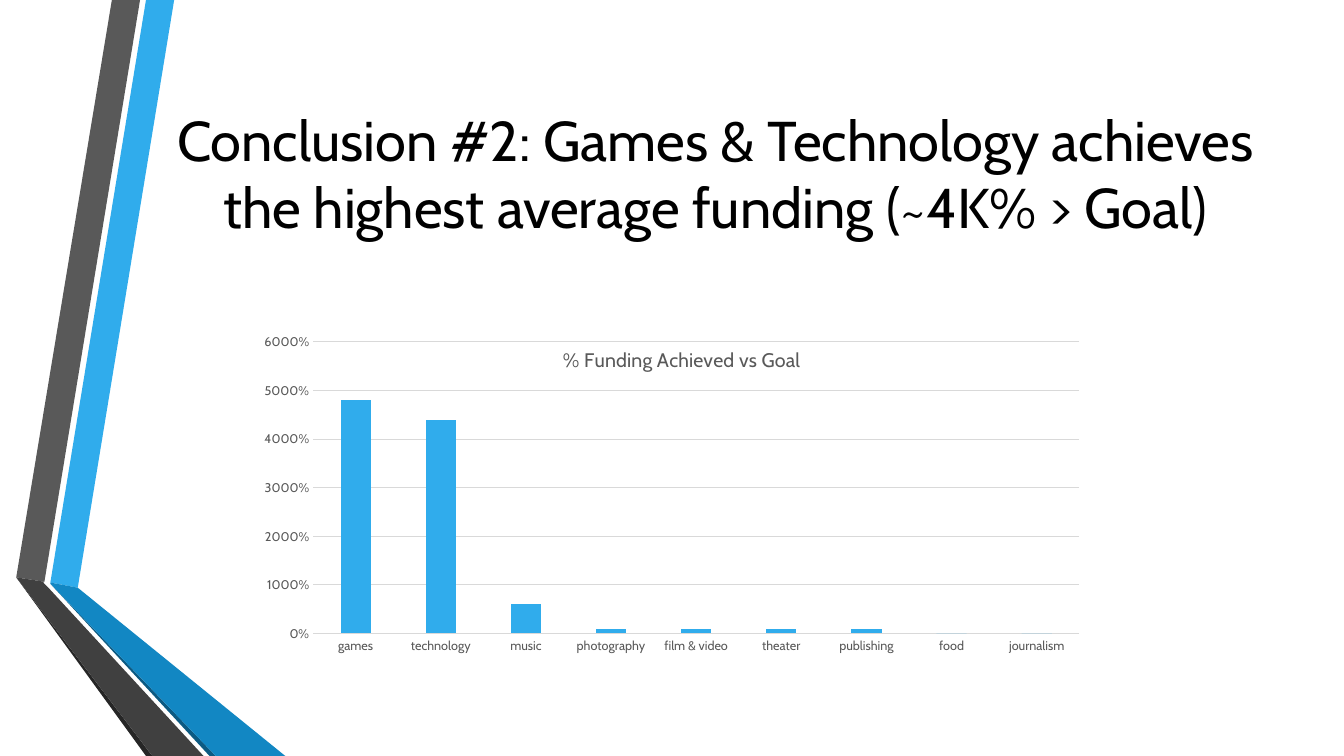
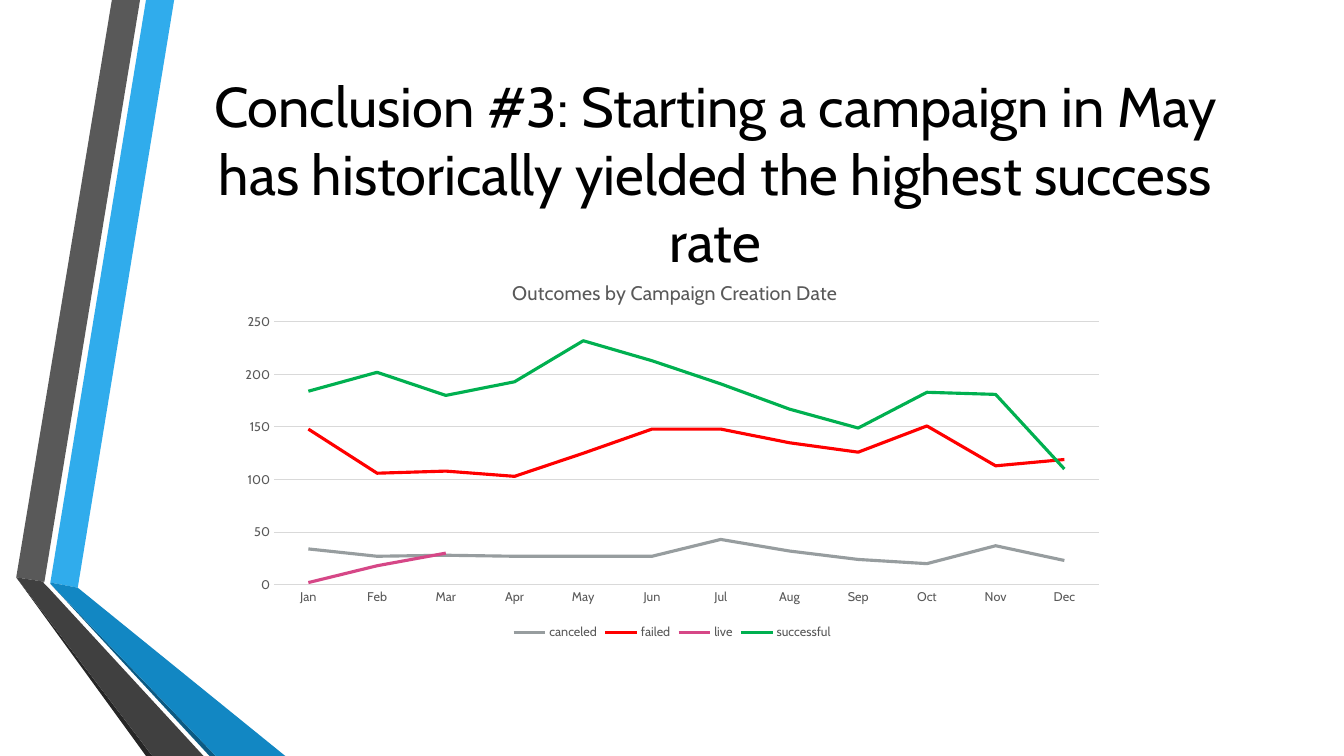
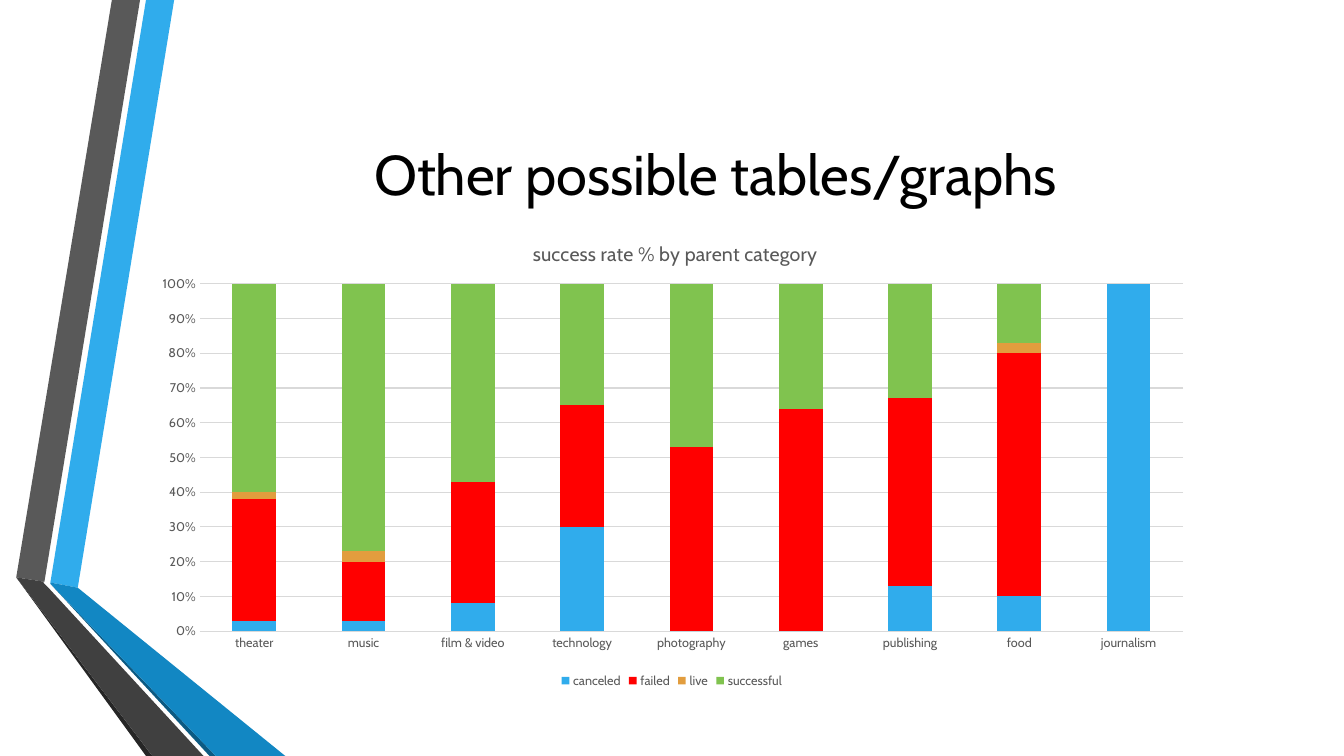
from lxml import etree
from pptx import Presentation
from pptx.chart.data import CategoryChartData
from pptx.dml.color import RGBColor
from pptx.enum.chart import XL_CHART_TYPE, XL_LEGEND_POSITION, XL_MARKER_STYLE, XL_TICK_MARK
from pptx.enum.text import MSO_ANCHOR, PP_ALIGN
from pptx.oxml.ns import qn
from pptx.util import Cm, Pt

CLUSTERED = XL_CHART_TYPE.COLUMN_CLUSTERED
STACKED = XL_CHART_TYPE.COLUMN_STACKED
LINE = XL_CHART_TYPE.LINE
BOTTOM = XL_LEGEND_POSITION.BOTTOM
NO_MARKER = XL_MARKER_STYLE.NONE
NO_TICK = XL_TICK_MARK.NONE
MIDDLE = MSO_ANCHOR.MIDDLE
CENTER = PP_ALIGN.CENTER

FONT = "Cabin"
COLORS = {
    "sky": "30ACEC", "blue": "1287C3", "navy": "0C5A82",
    "gray": "595959", "charcoal": "404040", "ink": "262626",
    "black": "000000", "grid": "D9D9D9", "silver": "979D9F",
    "red": "FF0000", "pink": "D64787", "green": "00B050",
    "orange": "E29D3E", "lime": "80C34F",
}

# Ribbon pieces at the left edge, corner points in cm
RIBBON = [
    ("sky", [(1.27, 14.68), (1.96, 14.81), (4.39, 0), (3.68, 0)]),
    ("gray", [(3.53, 0), (2.82, 0), (0.41, 14.55), (1.12, 14.66)]),
    ("ink", [(0.41, 14.55), (3.68, 19.05), (3.84, 19.05)]),
    ("navy", [(1.27, 14.71), (5.28, 19.05), (5.44, 19.05)]),
    ("blue", [(1.27, 14.71), (5.44, 19.05), (7.19, 19.05), (1.96, 14.81), (1.27, 14.68)]),
    ("charcoal", [(5.13, 19.05), (1.22, 14.81), (1.09, 14.68), (1.12, 14.66),
                  (0.41, 14.55), (3.84, 19.05)]),
]

# Slide contents: box in cm, heading and plot positions in percent of the chart
SLIDES = [
    {
        "title": "Conclusion #2: Games & Technology achieves the highest average funding (~4K% > Goal)",
        "heading": "% Funding Achieved vs Goal",
        "kind": CLUSTERED, "box": (6.22, 7.01, 21.41, 9.63),
        "heading_at": (36.8, 17), "plot_at": (7.8, 16.7, 90.2, 76.3),
        "top": 60, "step": 10, "format": "0%", "gap": 182, "overlap": 0, "legend": False,
        "categories": ["games", "technology", "music", "photography", "film & video",
                       "theater", "publishing", "food", "journalism"],
        "series": [("Series 1", "sky", [48, 44, 6, 1, 1, 1, 1, 0, 0])],
    },
    {
        "title": "Conclusion #3: Starting a campaign in May has historically yielded the highest success rate",
        "heading": "Outcomes by Campaign Creation Date",
        "kind": LINE, "box": (5.74, 6.53, 22.4, 9.7),
        "heading_at": (31.6, 4.4), "plot_at": (5.2, 16.3, 92.8, 68.3),
        "top": 250, "step": 50, "format": "General", "legend": True,
        "categories": ["Jan", "Feb", "Mar", "Apr", "May", "Jun",
                       "Jul", "Aug", "Sep", "Oct", "Nov", "Dec"],
        "series": [
            ("canceled", "silver", [34, 27, 28, 27, 27, 27, 43, 32, 24, 20, 37, 23]),
            ("failed", "red", [148, 106, 108, 103, 125, 148, 148, 135, 126, 151, 113, 119]),
            ("live", "pink", [2, 18, 30] + [None] * 9),
            ("successful", "green", [184, 202, 180, 193, 232, 213, 191, 167, 149, 183, 181, 110]),
        ],
    },
    {
        "title": "Other possible tables/graphs",
        "heading": "success rate % by parent category",
        "kind": STACKED, "box": (3.53, 5.49, 26.8, 11.96),
        "heading_at": (36.6, 4), "plot_at": (5.6, 13.9, 92.5, 73.2),
        "top": 1, "step": 0.1, "format": "0%", "gap": 150, "overlap": 100, "legend": True,
        "categories": ["theater", "music", "film & video", "technology", "photography",
                       "games", "publishing", "food", "journalism"],
        "series": [
            ("canceled", "sky", [0.03, 0.03, 0.08, 0.3, 0, 0, 0.13, 0.1, 1]),
            ("failed", "red", [0.35, 0.17, 0.35, 0.35, 0.53, 0.64, 0.54, 0.7, 0]),
            ("live", "orange", [0.02, 0.03, 0, 0, 0, 0, 0, 0.03, 0]),
            ("successful", "lime", [0.6, 0.77, 0.58, 0.35, 0.47, 0.36, 0.34, 0.17, 0]),
        ],
    },
]


def style_font(font, size, color):
    font.name = FONT
    font.size = Pt(size)
    font.bold = False
    font.color.rgb = RGBColor.from_string(COLORS[color])


def place(parent, index, percents, inner=False):
    """Give a chart part a fixed position inside the chart."""
    for old in parent.findall(qn("c:layout")):
        parent.remove(old)
    layout = etree.Element(qn("c:layout"))
    parent.insert(index, layout)
    manual = etree.SubElement(layout, qn("c:manualLayout"))
    settings = [("layoutTarget", "inner")] if inner else []
    settings += [("xMode", "edge"), ("yMode", "edge")]
    settings += [(key, str(round(value / 100, 3))) for key, value in zip("xywh", percents)]
    for tag, value in settings:
        etree.SubElement(manual, qn("c:" + tag)).set("val", value)


prs = Presentation()
prs.slide_width, prs.slide_height = Cm(33.87), Cm(19.05)
blank = prs.slide_layouts[6]
for placeholder in list(blank.placeholders):
    blank.shapes.element.remove(placeholder.element)
slides = [prs.slides.add_slide(blank) for _ in SLIDES]

# Ribbon: drawn once, then moved to the layout all slides share
ribbon = slides[0].shapes.add_group_shape()
for color, points in RIBBON:
    corners = [(Cm(x), Cm(y)) for x, y in points]
    outline = ribbon.shapes.build_freeform(*corners[0], scale=1.0)
    outline.add_line_segments(corners[1:], close=True)
    band = outline.convert_to_shape()
    band.shadow.inherit = False
    band.fill.solid()
    band.fill.fore_color.rgb = RGBColor.from_string(COLORS[color])
    band.line.fill.background()
blank.shapes.element.append(ribbon.element)

for slide, content in zip(slides, SLIDES):
    # Title
    title = slide.shapes.add_textbox(Cm(4.11), Cm(1.91), Cm(27.84), Cm(4.88)).text_frame
    title.word_wrap = True
    title.vertical_anchor = MIDDLE
    title.paragraphs[0].alignment = CENTER
    title_run = title.paragraphs[0].add_run()
    title_run.text = content["title"]
    style_font(title_run.font, 40, "black")

    # Chart and its heading
    data = CategoryChartData()
    data.categories = content["categories"]
    for name, _, values in content["series"]:
        data.add_series(name, values)
    box = [Cm(length) for length in content["box"]]
    chart = slide.shapes.add_chart(content["kind"], *box, data).chart
    style_font(chart.font, 9, "gray")
    chart.has_title = True
    heading = chart.chart_title.text_frame.paragraphs[0].add_run()
    heading.text = content["heading"]
    style_font(heading.font, 14, "gray")
    place(chart.chart_title.element, 1, content["heading_at"])
    place(chart.element.find(".//" + qn("c:plotArea")), 0, content["plot_at"], inner=True)

    # Axes
    for axis in (chart.category_axis, chart.value_axis):
        axis.major_tick_mark = axis.minor_tick_mark = NO_TICK
        style_font(axis.tick_labels.font, 9, "gray")
    scale = chart.value_axis
    scale.minimum_scale, scale.maximum_scale = 0, content["top"]
    scale.major_unit = content["step"]
    scale.tick_labels.number_format = content["format"]
    scale.tick_labels.number_format_is_linked = False
    scale.format.line.fill.background()
    scale.has_major_gridlines = True
    for rule in (chart.category_axis.format.line, scale.major_gridlines.format.line):
        rule.color.rgb = RGBColor.from_string(COLORS["grid"])
        rule.width = Pt(0.75)

    # Legend
    chart.has_legend = content["legend"]
    if content["legend"]:
        chart.legend.position = BOTTOM
        chart.legend.include_in_layout = False
        style_font(chart.legend.font, 9, "gray")

    # Series
    plot = chart.plots[0]
    plot.vary_by_categories = False
    if content["kind"] != LINE:
        plot.gap_width = content["gap"]
        plot.overlap = content["overlap"]
    for series, (_, color, _) in zip(plot.series, content["series"]):
        rgb = RGBColor.from_string(COLORS[color])
        if content["kind"] == LINE:
            series.smooth = False
            series.marker.style = NO_MARKER
            series.format.line.color.rgb = rgb
            series.format.line.width = Pt(2.25)
        else:
            series.format.fill.solid()
            series.format.fill.fore_color.rgb = rgb

prs.save("out.pptx")
